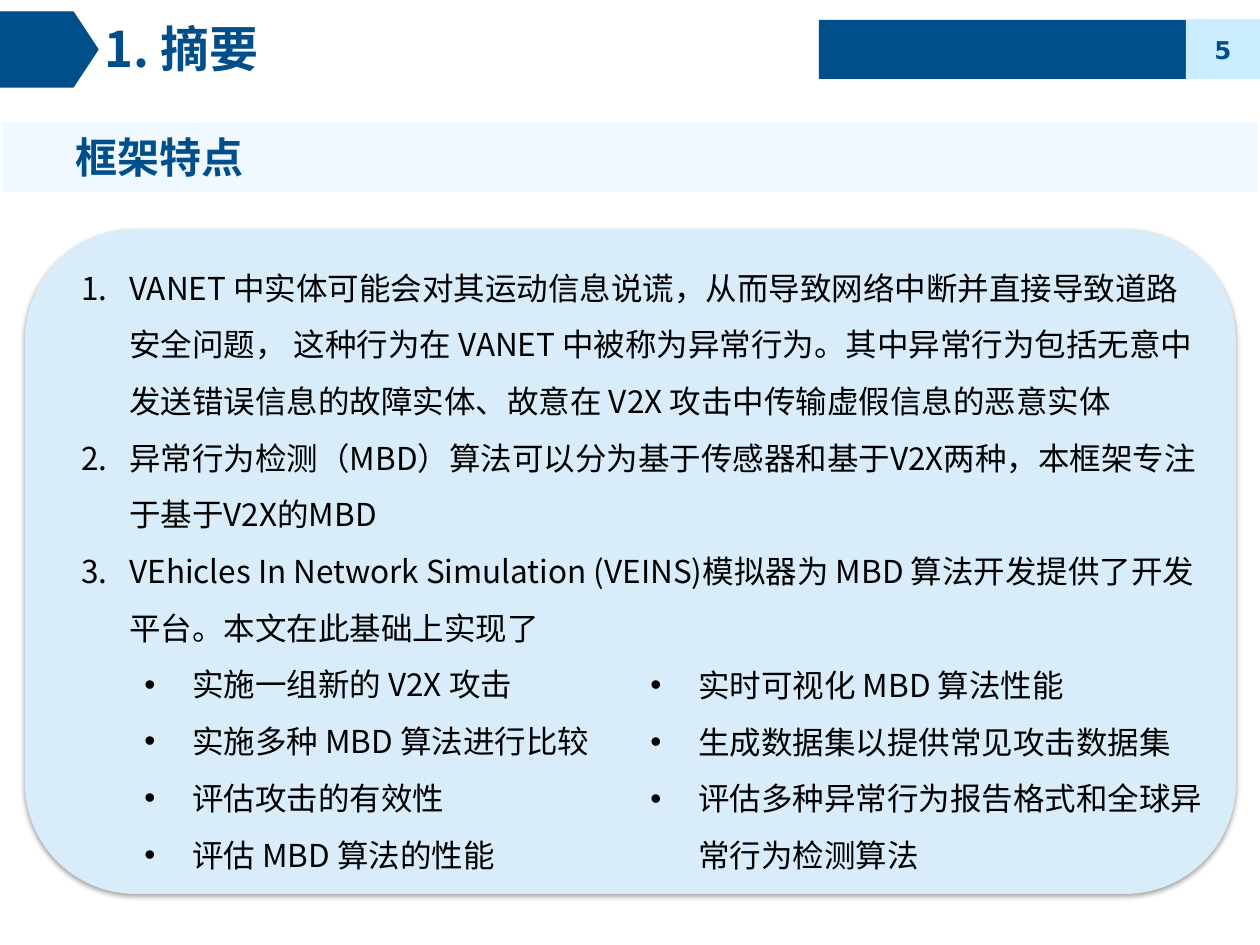
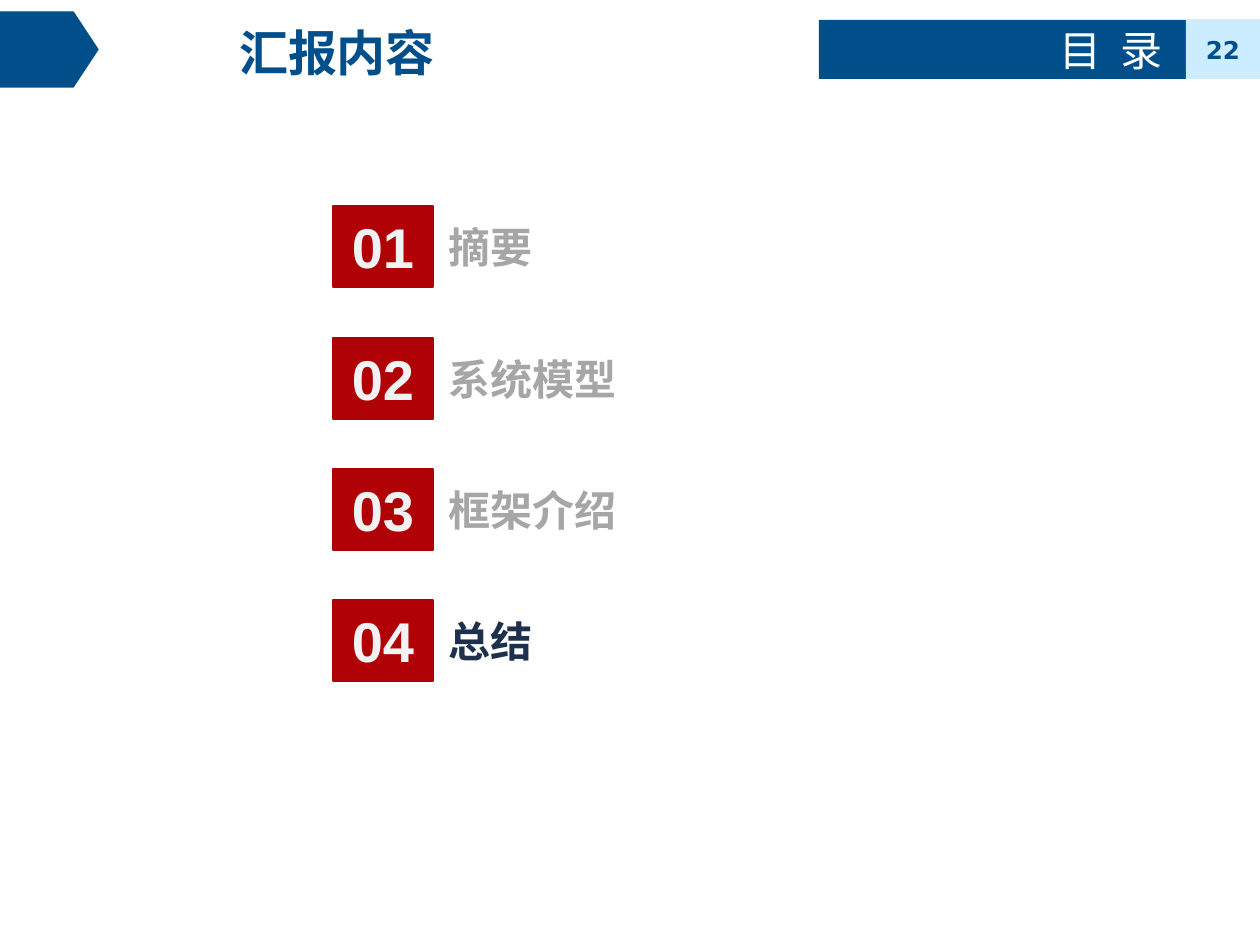
from dataclasses import dataclass

from lxml import etree
from pptx import Presentation
from pptx.dml.color import RGBColor
from pptx.enum.shapes import MSO_SHAPE as Shape
from pptx.enum.text import MSO_ANCHOR as Anchor, MSO_AUTO_SIZE as AutoSize, PP_ALIGN as Align
from pptx.oxml.ns import qn
from pptx.util import Pt

PX = 914400 // 126
BLANK_LAYOUT = 6


@dataclass(frozen=True)
class Theme:
    navy: str = "004F8A"
    sky: str = "CCECFF"
    panel: str = "D8ECF9"
    red: str = "B00106"
    red_edge: str = "AB0205"
    white: str = "FFFFFF"
    off_white: str = "F2F2F2"
    black: str = "000000"
    muted: str = "A6A6A6"
    current: str = "1D304E"
    font: str = "Noto Sans CJK SC"
    number_font: str = "Arial"
    page_font: str = "DejaVu Sans"
    badge: int = 32
    title: int = 28
    heading: int = 24
    body: int = 18
    page: int = 14


THEME = Theme()
HANGING = 48
NUMBERED = dict(indent=72, number=True)
BULLETED = dict(indent=135, level=1)

FINDINGS = [
    "VANET 中实体可能会对其运动信息说谎，从而导致网络中断并直接导致道路安全问题， "
    "这种行为在 VANET 中被称为异常行为。其中异常行为包括无意中发送错误信息的故障实体、"
    "故意在 V2X 攻击中传输虚假信息的恶意实体",
    "异常行为检测（MBD）算法可以分为基于传感器和基于V2X两种，本框架专注于基于V2X的MBD",
    "VEhicles In Network Simulation (VEINS)模拟器为 MBD 算法开发提供了开发平台。"
    "本文在此基础上实现了",
]
EVALUATION_FEATURES = [
    "实施一组新的 V2X 攻击",
    "实施多种 MBD 算法进行比较",
    "评估攻击的有效性",
    "评估 MBD 算法的性能",
]
OUTPUT_FEATURES = [
    "实时可视化 MBD 算法性能",
    "生成数据集以提供常见攻击数据集",
    "评估多种异常行为报告格式和全球异常行为检测算法",
]
CHAPTERS = ["摘要", "系统模型", "框架介绍", "总结"]


def px(*lengths):
    return [length * PX for length in lengths]


def add_block(shapes, kind, box, fill, line=None, line_width=0.75):
    block = shapes.add_shape(kind, *px(*box))
    block.shadow.inherit = False
    block.fill.solid()
    block.fill.fore_color.rgb = RGBColor.from_string(fill)
    if line:
        block.line.color.rgb = RGBColor.from_string(line)
        block.line.width = Pt(line_width)
    else:
        block.line.fill.background()
    return block


def add_text_box(shapes, box):
    return shapes.add_textbox(*px(*box))


def set_frame(shape, anchor=Anchor.TOP, insets=None, grow=False):
    frame = shape.text_frame
    frame.word_wrap = True
    frame.vertical_anchor = anchor
    frame.auto_size = AutoSize.SHAPE_TO_FIT_TEXT if grow else AutoSize.NONE
    if insets:
        (frame.margin_left, frame.margin_top,
         frame.margin_right, frame.margin_bottom) = px(*insets)


def write(shape, text, *, size, color, font=THEME.font, bold=False,
          align=Align.LEFT, line_spacing=None, spacing=0):
    """Add one formatted paragraph, using the empty first one if there is one."""
    frame = shape.text_frame
    paragraph = frame.add_paragraph() if frame.text else frame.paragraphs[0]
    paragraph.alignment = align
    if line_spacing:
        paragraph.line_spacing = line_spacing
    run = paragraph.add_run()
    run.text = text
    run.font.size, run.font.bold, run.font.name = Pt(size), bold, font
    run.font.color.rgb = RGBColor.from_string(color)
    properties = run.font._element
    if spacing:
        properties.set("spc", str(spacing))
    east_asian = etree.SubElement(properties, qn("a:ea"))
    east_asian.set("typeface", font)
    return paragraph


def write_list(shape, items, *, indent, level=0, number=False):
    for item in items:
        paragraph = write(shape, item, size=THEME.body, color=THEME.black, line_spacing=1.5)
        paragraph.level = level
        properties = paragraph._p.get_or_add_pPr()
        properties.set("marL", str(indent * PX))
        properties.set("indent", str(-HANGING * PX))
        if number:
            etree.SubElement(properties, qn("a:buAutoNum"), type="arabicPeriod")
        else:
            etree.SubElement(properties, qn("a:buFont"), typeface=THEME.number_font)
            etree.SubElement(properties, qn("a:buChar"), char="•")


def set_opacity(shape, percent):
    color = shape.fill._xPr.find(qn("a:solidFill"))[0]
    etree.SubElement(color, qn("a:alpha"), val=str(percent * 1000))


def drop_shadow(shape, opacity=35, blur=3.1, distance=1.8):
    effects = shape._element.spPr.find(qn("a:effectLst"))
    shadow = etree.SubElement(effects, qn("a:outerShdw"), blurRad=str(Pt(blur)),
                              dist=str(Pt(distance)), dir="5400000", rotWithShape="0")
    color = etree.SubElement(shadow, qn("a:srgbClr"), val=THEME.black)
    etree.SubElement(color, qn("a:alpha"), val=str(opacity * 1000))


def add_header(shapes, page, title, title_box, align=Align.LEFT, label=None):
    add_block(shapes, Shape.RECTANGLE, (819, 20, 441, 59), THEME.navy)
    arrow = add_block(shapes, Shape.PENTAGON, (0, 12, 98, 75), THEME.navy, THEME.navy)
    arrow.adjustments[0] = 0.33
    page_tab = add_block(shapes, Shape.RECTANGLE, (1186, 20, 74, 59), THEME.sky)
    set_frame(page_tab, Anchor.MIDDLE)
    write(page_tab, str(page), size=THEME.page, color=THEME.navy,
          font=THEME.page_font, bold=True, align=Align.CENTER)
    heading = add_text_box(shapes, title_box)
    set_frame(heading, grow=True)
    write(heading, title, size=THEME.title, color=THEME.navy, bold=True, align=align)
    if label:
        section = add_text_box(shapes, (1047, 18, 136, 63))
        set_frame(section, grow=True)
        write(section, label, size=THEME.heading, color=THEME.white, spacing=270)


def add_subtitle_band(shapes, box, text):
    band = add_block(shapes, Shape.RECTANGLE, box, THEME.sky, THEME.white, 2)
    set_opacity(band, 29)
    set_frame(band, Anchor.MIDDLE, (76, 0, 0, 0))
    write(band, text, size=THEME.heading, color=THEME.navy, bold=True)


def add_feature_panel(shapes, box):
    left, top, width, height = box
    panel = add_block(shapes, Shape.ROUNDED_RECTANGLE, box, THEME.panel)
    drop_shadow(panel)
    set_frame(panel, Anchor.MIDDLE, (0, 0, 0, 0))
    write_list(panel, FINDINGS, **NUMBERED)
    write_list(panel, EVALUATION_FEATURES, **BULLETED)
    second_column = add_text_box(shapes, (left + 526, top + 412, width - 546, 280))
    set_frame(second_column, grow=True)
    write_list(second_column, OUTPUT_FEATURES, **BULLETED)


def add_agenda(shapes, box, chapters, current):
    left, top, width, height = box
    pitch = height / len(chapters)
    for index, chapter in enumerate(chapters):
        row_top = top + round(index * pitch)
        row = shapes.add_group_shape().shapes
        badge = add_block(row, Shape.RECTANGLE, (left, row_top, 100, 81),
                          THEME.red, THEME.red_edge)
        set_frame(badge, grow=True)
        write(badge, f"{index + 1:02}", size=THEME.badge, color=THEME.off_white,
              font=THEME.number_font, bold=True, align=Align.CENTER)
        name = add_text_box(row, (left + 103, row_top + 9, width - 103, 63))
        set_frame(name, grow=True)
        write(name, chapter, size=THEME.heading, bold=True,
              color=THEME.current if chapter == current else THEME.muted)


def build_summary(shapes):
    add_header(shapes, 5, "1. 摘要", (92, 12, 648, 72))
    add_subtitle_band(shapes, (0, 120, 1260, 74), "框架特点")
    add_feature_panel(shapes, (25, 229, 1211, 665))


def build_contents(shapes):
    add_header(shapes, 22, "汇报内容", (164, 16, 346, 72), Align.CENTER, "目 录")
    add_agenda(shapes, (333, 206, 690, 526), CHAPTERS, current="总结")


def main():
    deck = Presentation()
    deck.slide_width, deck.slide_height = px(1260, 945)
    for build in (build_summary, build_contents):
        build(deck.slides.add_slide(deck.slide_layouts[BLANK_LAYOUT]).shapes)
    deck.save("out.pptx")


if __name__ == "__main__":
    main()
